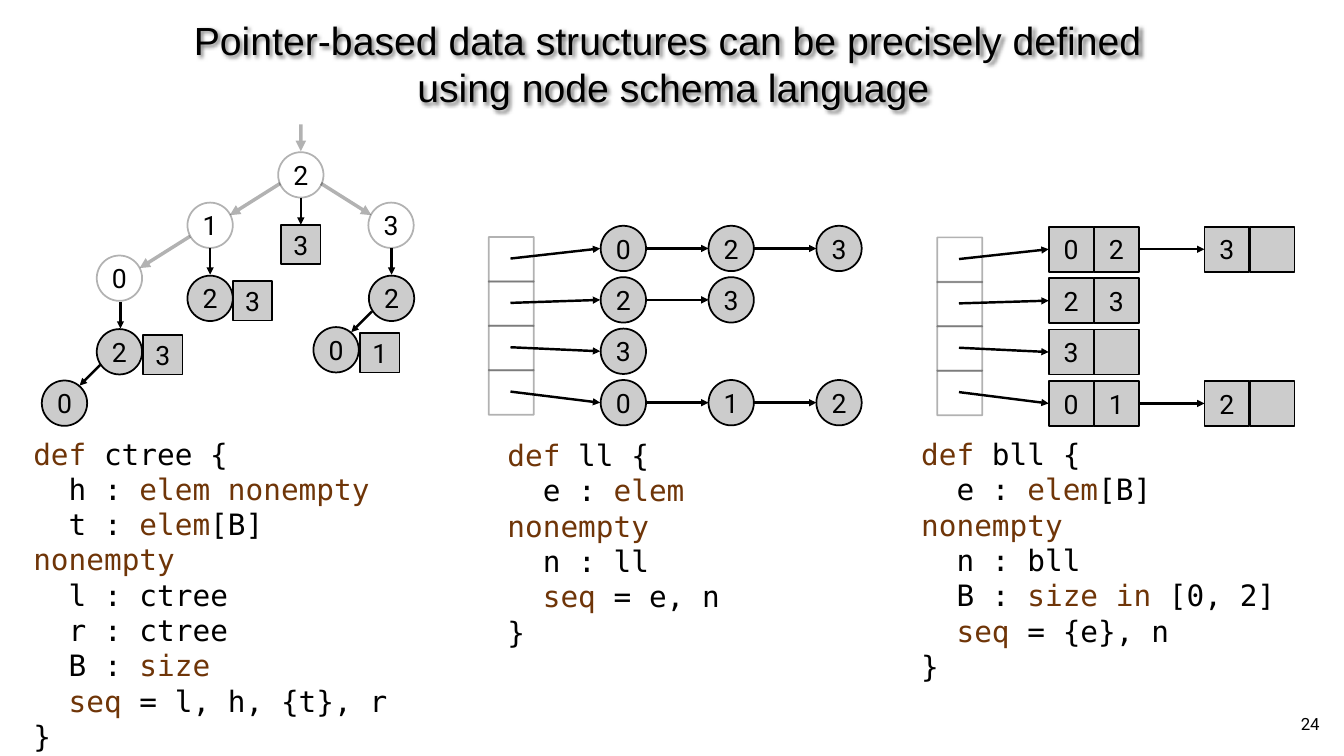
from lxml import etree
from pptx import Presentation
from pptx import util as u
from pptx.dml.color import RGBColor
from pptx.enum import shapes, text
from pptx.oxml import parse_xml
from pptx.oxml.ns import nsdecls, qn

BLACK, GREY, BROWN = "000000", "CCCCCC", "6F3508"
NODE, CELL, TAG = 0.9, 0.89, 0.78
TOP, LEFT, RIGHT = 0, 1, 3
ROW_STEP, CELL_STEP = 1.02, 0.88


def color(value):
    return RGBColor.from_string(value)


class Canvas:
    """Holds the style and the current slide; lengths are in inches."""

    label_font, label_size = "Roboto", 38
    code_font, code_size = "DejaVu Sans Mono", 42
    title_font, title_size = "Arial", 56

    def __init__(self, slide):
        self.slide = slide

    def style(self, paragraph, font, size, value=None, align=None):
        paragraph.alignment = align
        paragraph.font.name = font
        paragraph.font.size = u.Pt(size)
        if value:
            paragraph.font.color.rgb = color(value)

    def frame(self, shape, inset=0.06, anchor=text.MSO_ANCHOR.MIDDLE, wrap=True):
        frame = shape.text_frame
        frame.margin_left = frame.margin_right = u.Inches(inset)
        frame.margin_top = frame.margin_bottom = u.Inches(inset)
        frame.vertical_anchor = anchor
        frame.word_wrap = wrap
        frame.auto_size = text.MSO_AUTO_SIZE.NONE
        return frame

    def stroke(self, line, width, faint):
        line.width = u.Pt(width)
        line.color.rgb = color(BLACK)
        if faint:
            solid = line._get_or_add_ln().find(qn("a:solidFill"))
            etree.SubElement(solid[0], qn("a:alpha"), val="30000")

    def title(self, lines):
        shape = self.slide.shapes.title
        shape.left, shape.top = u.Inches(0.28), u.Inches(0.28)
        shape.width, shape.height = u.Inches(26.11), u.Inches(1.94)
        frame = self.frame(shape, inset=0)
        frame.text = "\n".join(lines)
        for paragraph in frame.paragraphs:
            properties = paragraph._p.get_or_add_pPr()
            properties.set("marL", str(u.Inches(0.06)))
            properties.set("indent", "0")
            self.style(paragraph, self.title_font, self.title_size, BLACK,
                       text.PP_ALIGN.CENTER)
        shape._element.spPr.append(parse_xml(
            f'<a:effectLst {nsdecls("a")}><a:outerShdw blurRad="50800" '
            'dist="50800" dir="2700000"><a:srgbClr val="000000">'
            '<a:alpha val="50000"/></a:srgbClr></a:outerShdw></a:effectLst>'))

    def box(self, left, top, size, label="", fill=GREY, kind="RECTANGLE"):
        """Draw a square or circle; one without fill has a faint outline."""
        shape = self.slide.shapes.add_shape(
            shapes.MSO_SHAPE[kind], u.Inches(left), u.Inches(top),
            u.Inches(size), u.Inches(size))
        shape.shadow.inherit = False
        if fill:
            shape.fill.solid()
            shape.fill.fore_color.rgb = color(fill)
        else:
            shape.fill.background()
        self.stroke(shape.line, 2.5, faint=not fill)
        if label:
            frame = self.frame(shape)
            frame.text = label
            self.style(frame.paragraphs[0], self.label_font, self.label_size,
                       BLACK, text.PP_ALIGN.CENTER)
        return shape

    def node(self, left, top, label, fill=GREY):
        return self.box(left, top, NODE, label, fill, "OVAL")

    def arrow(self, start, end, faint=False, source=None, target=None):
        """Draw an arrow; source and target are (shape, site) joins."""
        connector = self.slide.shapes.add_connector(
            shapes.MSO_CONNECTOR.STRAIGHT, *map(u.Inches, (*start, *end)))
        if source:
            connector.begin_connect(*source)
        if target:
            connector.end_connect(*target)
        self.stroke(connector.line, 5 if faint else 3.5, faint)
        etree.SubElement(connector.line._get_or_add_ln(), qn("a:tailEnd"),
                         type="triangle")
        etree.SubElement(connector._element.spPr, qn("a:effectLst"))

    def code(self, left, top, width, height, lines):
        """Write code lines; words between asterisks are keywords."""
        shape = self.slide.shapes.add_textbox(
            *map(u.Inches, (left, top, width, height)))
        frame = self.frame(shape)
        for index, line in enumerate(lines):
            paragraph = frame.add_paragraph() if index else frame.paragraphs[0]
            self.style(paragraph, self.code_font, self.code_size)
            for part, words in enumerate(line.split("*")):
                if words:
                    run = paragraph.add_run()
                    run.text = words
                    run.font.color.rgb = color(BROWN if part % 2 else BLACK)

    def page_number(self, number):
        shape = self.slide.shapes.add_textbox(
            *map(u.Inches, (25.75, 14.1, 0.5, 0.51)))
        frame = self.frame(shape, anchor=text.MSO_ANCHOR.TOP, wrap=False)
        frame.text = number
        self.style(frame.paragraphs[0], self.label_font, 24, BLACK,
                   text.PP_ALIGN.CENTER)


def draw_tree(canvas):
    for left, top, label in [(5.52, 3.02, "2"), (3.72, 4.02, "1"),
                             (7.31, 4.02, "3"), (1.92, 5.07, "0")]:
        canvas.node(left, top, label, fill=None)
    for left, top, label in [(3.72, 5.47, "2"), (7.32, 5.47, "2"), (6.22, 6.49, "0"),
                             (1.92, 6.53, "2"), (0.83, 7.55, "0")]:
        canvas.node(left, top, label)
    for left, top, label in [(2.84, 6.65, "3"), (4.62, 5.58, "3"), (7.15, 6.61, "1")]:
        canvas.box(left, top, TAG, label)
    root_tag = canvas.box(5.58, 4.46, TAG, "3")

    canvas.arrow((5.97, 2.47), (5.97, 3), faint=True)
    canvas.arrow((5.97, 3.92), (5.97, 4.46), target=(root_tag, TOP))
    for x, y in [(2.39, 5.99), (4.17, 4.92), (7.77, 4.92)]:
        canvas.arrow((x, y), (x, y + 0.53))
    for x, y, run in [(3.77, 4.69, -1), (5.56, 3.64, -1), (6.37, 3.64, 1)]:
        canvas.arrow((x, y), (x + run, y + 0.63), faint=True)
    for x, y in [(7.38, 6.18), (1.99, 7.24)]:
        canvas.arrow((x, y), (x - 0.41, y + 0.41))


def draw_buckets(canvas, left, top, targets):
    """Stack the table cells and point each at the first block of its row."""
    for row, target in enumerate(targets):
        y = top + row * CELL_STEP
        canvas.box(left, y, CELL, fill=None)
        canvas.arrow((left + 0.43, y + 0.43),
                     (left + 2.21, top + 0.23 + row * ROW_STEP), target=target)


def draw_linked_lists(canvas, rows):
    for row, labels in enumerate(rows):
        middle = 4.93 + row * ROW_STEP
        for column, label in enumerate(labels):
            left = 11.92 + column * 2.14
            canvas.node(left, middle - NODE / 2, label)
            if column:
                canvas.arrow((left - 1.25, middle), (left, middle))
    draw_buckets(canvas, 9.7, 4.7, [None] * len(rows))


def draw_blocked_lists(canvas, rows):
    targets = []
    for row, blocks in enumerate(rows):
        top, previous = 4.5 + row * ROW_STEP, None
        for column, block in enumerate(blocks):
            left = 20.81 + column * 3.09
            first, last = [canvas.box(left + slot * NODE, top, CELL, label.strip())
                           for slot, label in enumerate(block)]
            if previous:
                canvas.arrow((left - 1.3, top), (left, top),
                             source=(previous, RIGHT), target=(first, LEFT))
            else:
                targets.append((first, LEFT))
            previous = last
    draw_buckets(canvas, 18.6, 4.71, targets)


def main():
    presentation = Presentation()
    presentation.slide_width = u.Inches(26.67)
    presentation.slide_height = u.Inches(15)
    canvas = Canvas(presentation.slides.add_slide(presentation.slide_layouts[5]))

    canvas.title(["Pointer-based data structures can be precisely defined ",
                  "using node schema language"])
    draw_tree(canvas)
    draw_linked_lists(canvas, ["023", "23", "3", "012"])
    draw_blocked_lists(canvas, [["02", "3 "], ["23"], ["3 "], ["01", "2 "]])
    canvas.code(0.6, 8.91, 7.25, 5.77, [
        "*def *ctree {", "  h : *elem nonempty*", "  t : *elem*[B] *nonempty*",
        "  l : ctree", "  r : ctree", "  B : *size*", "  *seq *= l, h, {t}, r", "}"])
    canvas.code(10.01, 8.95, 6.27, 3.65, [
        "*def *ll {", "  e : *elem nonempty*", "  n : ll", "  *seq *= e, n", "}"])
    canvas.code(18.22, 8.93, 7.25, 4.35, [
        "*def *bll {", "  e : *elem*[B] *nonempty*", "  n : bll",
        "  B : *size in *[0, 2]", "  *seq *= {e}, n", "}"])
    canvas.page_number("24")
    presentation.save("out.pptx")


if __name__ == "__main__":
    main()
